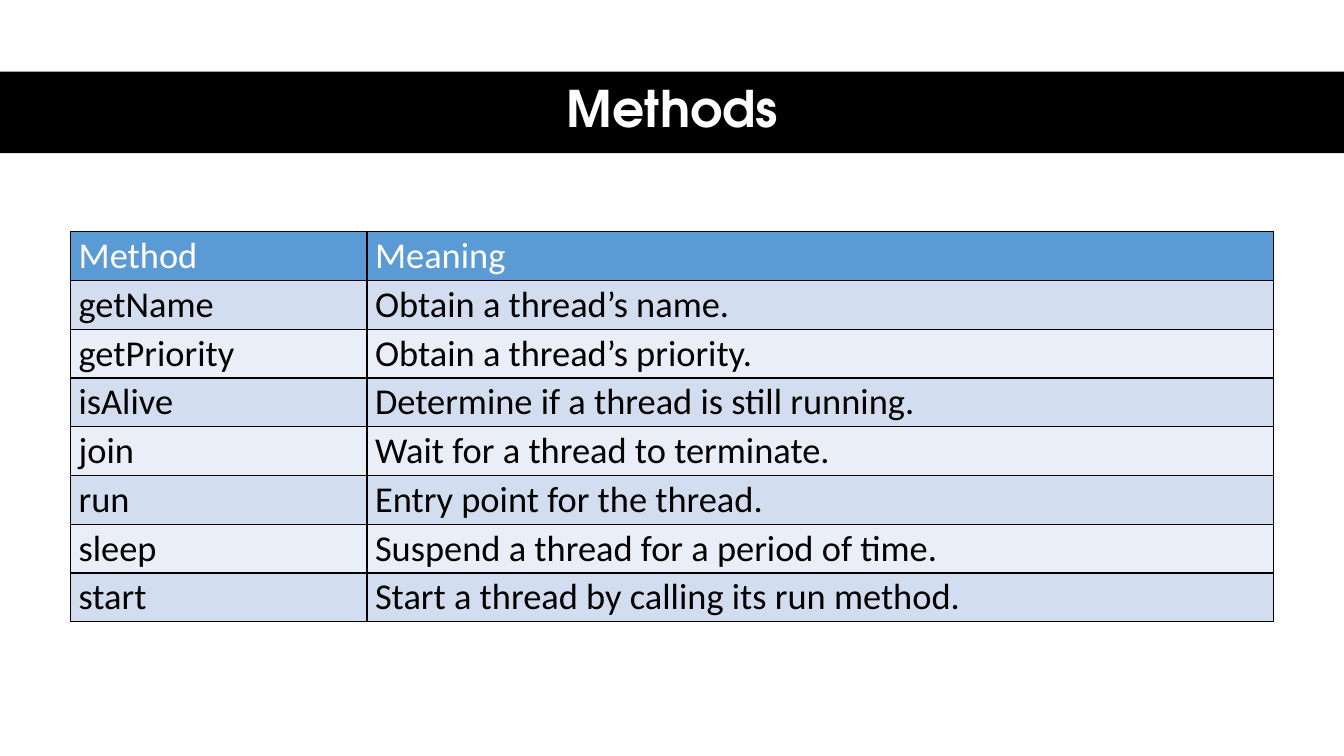
from lxml.etree import SubElement
from pptx import Presentation
from pptx.dml.color import RGBColor
from pptx.enum.shapes import MSO_SHAPE
from pptx.enum.text import MSO_ANCHOR, PP_ALIGN
from pptx.oxml.ns import qn
from pptx.util import Inches, Pt


def color(value):
    return RGBColor.from_string(value)


def write_text(frame, text, *, size, font, fill, bold=False, align=PP_ALIGN.LEFT, spacing=1.0):
    paragraph = frame.paragraphs[0]
    paragraph.alignment = align
    paragraph.line_spacing = spacing
    run = paragraph.add_run()
    run.text = text
    run.font.size = Pt(size)
    run.font.name = font
    run.font.bold = bold
    run.font.color.rgb = color(fill)


presentation = Presentation()
presentation.slide_width = Inches(13.33)
presentation.slide_height = Inches(7.5)
slide = presentation.slides.add_slide(presentation.slide_layouts[5])

title = slide.shapes.title
title.left, title.top = Inches(0.61), Inches(0.7)
title.width, title.height = Inches(12.26), Inches(0.81)
title.text_frame.vertical_anchor = MSO_ANCHOR.MIDDLE
title.text_frame.margin_right = Inches(0.24)
write_text(title.text_frame, "Methods", size=36, font="TeX Gyre Adventor", fill="FFFFFF",
           bold=True, align=PP_ALIGN.CENTER, spacing=0.9)

title_band = slide.shapes.add_shape(
    MSO_SHAPE.RECTANGLE, 0, Inches(0.71), presentation.slide_width, Inches(0.81))
title_band.shadow.inherit = False
title_band.fill.solid()
title_band.fill.fore_color.rgb = color("000000")
title_band.line.fill.background()
title.element.addprevious(title_band.element)

methods = [
    ("Method", "Meaning"),
    ("getName", "Obtain a thread’s name."),
    ("getPriority", "Obtain a thread’s priority."),
    ("isAlive", "Determine if a thread is still running."),
    ("join", "Wait for a thread to terminate."),
    ("run", "Entry point for the thread."),
    ("sleep", "Suspend a thread for a period of time."),
    ("start", "Start a thread by calling its run method."),
]
table_frame = slide.shapes.add_table(
    len(methods), 2, Inches(0.7), Inches(2.3), Inches(11.93), Inches(3.87))
table = table_frame.table
table.columns[0].width = Inches(2.94)
table.columns[1].width = Inches(8.99)

for row_index, row_texts in enumerate(methods):
    if row_index == 0:
        cell_fill, text_fill = "5B9BD5", "FFFFFF"
    else:
        cell_fill, text_fill = ("EAEFF7", "D2DEEF")[row_index % 2], "000000"
    for column_index, text in enumerate(row_texts):
        cell = table.cell(row_index, column_index)
        cell.margin_left = Inches(0.08)
        cell.margin_right = cell.margin_top = cell.margin_bottom = 0
        cell.vertical_anchor = MSO_ANCHOR.MIDDLE
        cell.fill.solid()
        cell.fill.fore_color.rgb = color(cell_fill)
        write_text(cell.text_frame, text, size=26, font="Calibri", fill=text_fill)

for cell_properties in table_frame.element.iter(qn("a:tcPr")):
    for position, side in enumerate(("lnL", "lnR", "lnT", "lnB")):
        border = SubElement(cell_properties, qn(f"a:{side}"), w=str(Pt(1)))
        border_fill = SubElement(border, qn("a:solidFill"))
        SubElement(border_fill, qn("a:srgbClr"), val="000000")
        cell_properties.insert(position, border)

presentation.save("out.pptx")
